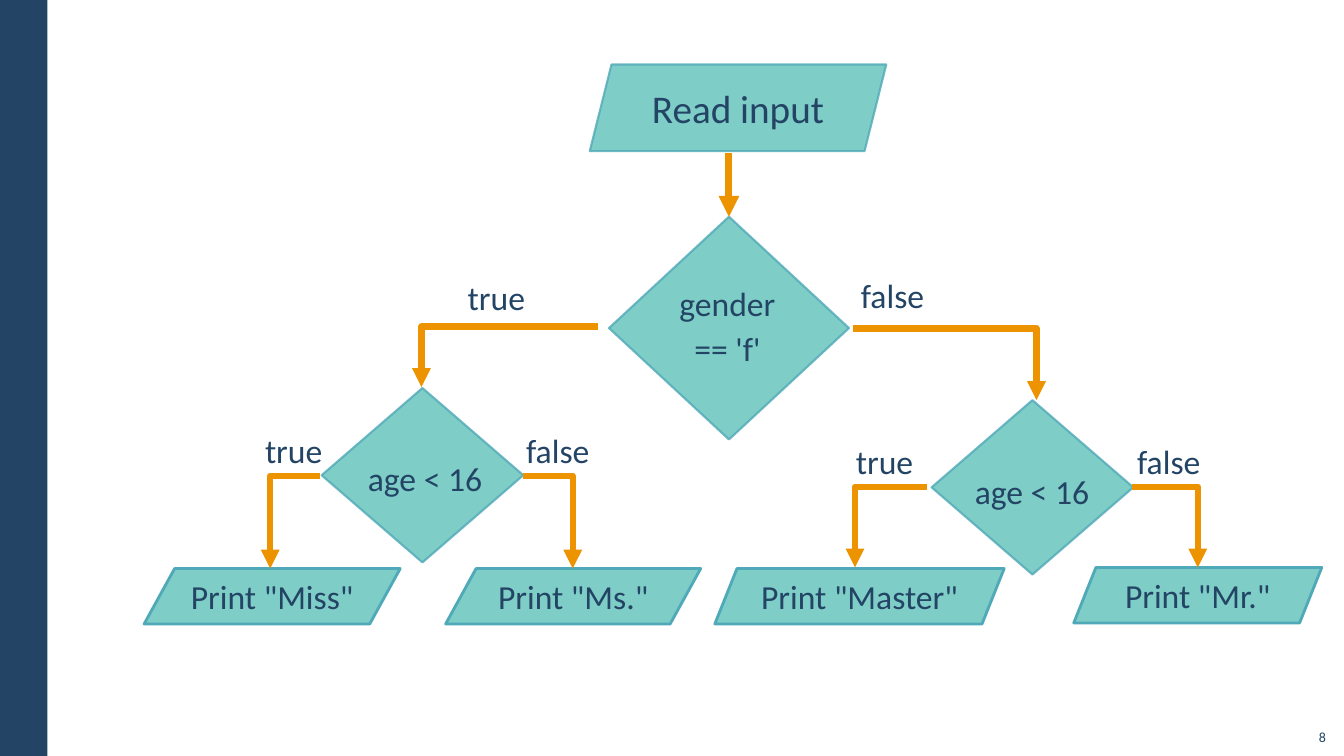
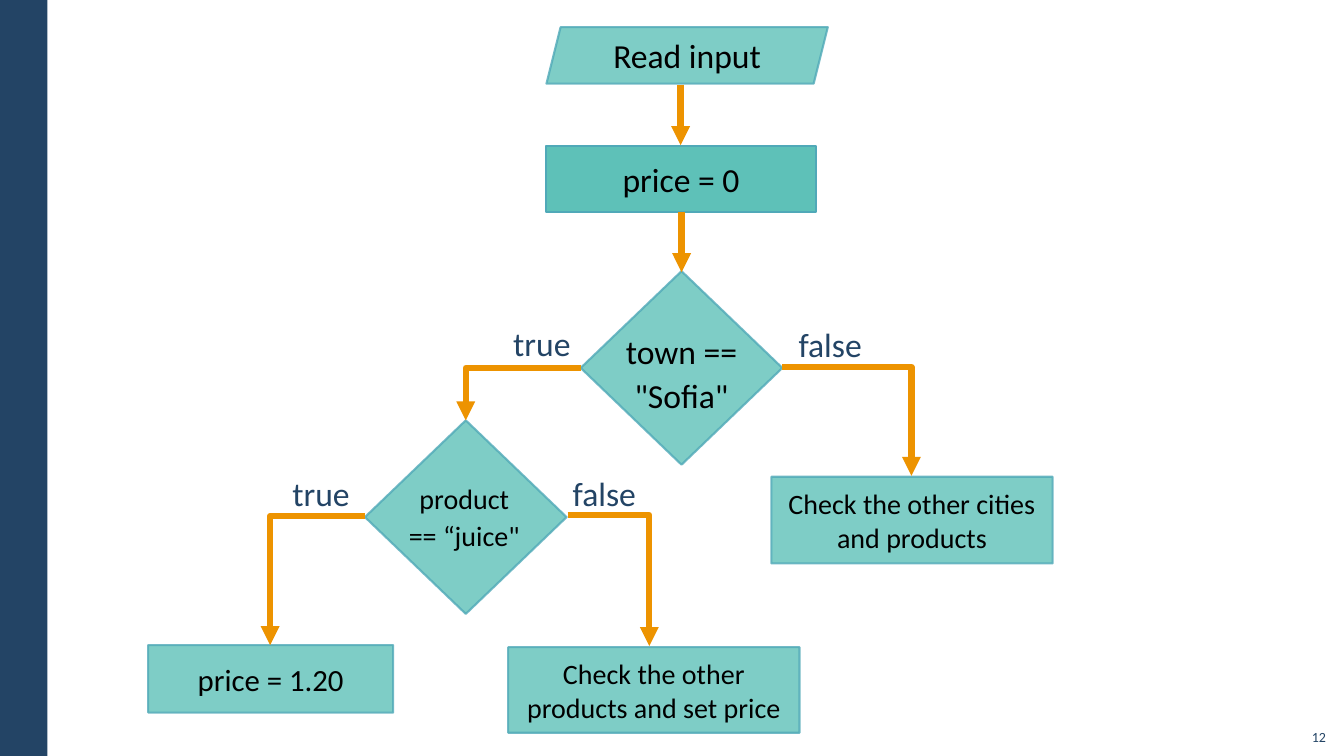
import pptx
from pptx.dml.color import RGBColor
from pptx.enum.shapes import MSO_CONNECTOR, MSO_SHAPE
from pptx.enum.text import MSO_ANCHOR, PP_ALIGN
from pptx.oxml.ns import qn
from pptx.util import Inches, Pt
from lxml import etree


class Theme:
    navy, black, teal, edge, gold = "234465", "000000", "5EC1B8", "50A9B8", "ED9300"
    font = "Calibri"
    big, body, mid, small, tiny = 28, 24, 22, 20, 10
    arrow, thick = 4.5, 5
    # fill opacity, line opacity, line width
    soft, firm, solid = (80, 80, 1.5), (80, 100, 2), (100, 100, 1.5)
    slim, roomy = (0.1, 0.05, 1), (0.16, 0.12, 1.1)  # side inset, top inset, spacing


T = Theme
KINDS = {
    "io": MSO_SHAPE.PARALLELOGRAM,
    "if": MSO_SHAPE.DIAMOND,
    "do": MSO_SHAPE.RECTANGLE,
}

# nodes: kind, text, size, box, look, slant
# tests: text, size, box (words inside the diamonds)
# marks: word, left, top (words beside the branches)
# arrows: start, end, width
FLOWS = [
    dict(
        page="8", ink=T.navy, pad=T.slim,
        nodes=[
            ("io", "Read input", T.big, (5.85, 0.64, 2.94, 0.86), T.soft, 0.25),
            ("if", "", T.body, (6.04, 2.15, 2.38, 2.21), T.soft, None),
            ("if", "", T.body, (3.19, 3.85, 2, 1.73), T.soft, None),
            ("if", "", T.body, (9.24, 3.97, 2, 1.73), T.soft, None),
            ("io", 'Print "Miss"', T.body, (1.43, 5.64, 2.54, 0.55), T.firm, 0.55),
            ("io", 'Print "Ms."', T.body, (4.42, 5.64, 2.53, 0.55), T.firm, 0.55),
            ("io", 'Print "Master"', T.body, (7.09, 5.64, 2.87, 0.55), T.firm, 0.4),
            ("io", 'Print "Mr."', T.body, (10.65, 5.63, 2.46, 0.55), T.firm, 0.4),
        ],
        tests=[
            ("gender\n== 'f'", T.body, (6.18, 2.65, 2.07, 1.1)),
            ("age < 16", T.body, (3.44, 4.38, 1.55, 0.66)),
            ("age < 16", T.body, (9.46, 4.51, 1.55, 0.66)),
        ],
        marks=[
            ("true", 4.54, 2.7), ("false", 8.44, 2.68),
            ("true", 2.53, 4.22), ("false", 5.12, 4.22),
            ("true", 8.39, 4.33), ("false", 11.18, 4.33),
        ],
        arrows=[
            ((7.23, 1.52), (7.23, 2.15), T.thick),
            ((5.93, 3.24), (4.18, 3.84), T.arrow),
            ((8.46, 3.26), (10.28, 3.97), T.arrow),
            ((3.17, 4.72), (2.68, 5.64), T.arrow),
            ((5.19, 4.72), (5.68, 5.64), T.arrow),
            ((9.19, 4.83), (8.48, 5.63), T.arrow),
            ((11.23, 4.83), (11.88, 5.63), T.arrow),
        ],
    ),
    dict(
        page="12", ink=T.black, pad=T.roomy,
        nodes=[
            ("io", "Read input", T.body, (5.42, 0.27, 2.79, 0.56), T.soft, 0.25),
            ("do", "price = 0", T.body, (5.42, 1.45, 2.67, 0.65), T.solid, None),
            ("if", "", T.body, (5.76, 2.69, 2, 1.92), T.soft, None),
            ("if", "", T.body, (3.62, 4.17, 2, 1.92), T.soft, None),
            ("do", "Check the other cities\nand products", T.small,
             (7.65, 4.73, 2.79, 0.86), T.soft, None),
            ("do", "price = 1.20", T.mid, (1.47, 6.4, 2.43, 0.67), T.soft, None),
            ("do", "Check the other products and set price", T.small,
             (5.04, 6.42, 2.89, 0.85), T.soft, None),
        ],
        tests=[
            ('town ==\n"Sofia"', T.body, (5.96, 3.12, 1.6, 1.1)),
            ('product\n== “juice"', T.small, (3.79, 4.62, 1.63, 0.96)),
        ],
        marks=[
            ("true", 4.93, 3.04), ("false", 7.76, 3.05),
            ("true", 2.74, 4.53), ("false", 5.52, 4.53),
        ],
        arrows=[
            ((6.75, 0.84), (6.75, 1.44), T.arrow),
            ((6.76, 2.1), (6.76, 2.7), T.arrow),
            ((5.76, 3.65), (4.62, 4.17), T.arrow),
            ((7.76, 3.64), (9.04, 4.72), T.arrow),
            ((3.62, 5.12), (2.68, 6.4), T.arrow),
            ((5.63, 5.11), (6.44, 6.41), T.arrow),
        ],
    ),
]


def rgb(code):
    return RGBColor.from_string(code)


def inch(box):
    return [Inches(n) for n in box]


def fade(node, pct):
    """Set the opacity of the solid fill directly under node."""
    if pct < 100:
        hue = node.find(qn("a:solidFill"))[0]
        etree.SubElement(hue, qn("a:alpha"), val=str(pct * 1000))


def write(frame, text, size, ink, pad=T.slim, align=PP_ALIGN.CENTER,
          anchor=MSO_ANCHOR.MIDDLE):
    side, top, gap = pad
    frame.word_wrap = True
    frame.vertical_anchor = anchor
    frame.margin_left = frame.margin_right = Inches(side)
    frame.margin_top = frame.margin_bottom = Inches(top)
    para = frame.paragraphs[0]
    para.alignment = align
    para.line_spacing = gap
    for i, line in enumerate(text.split("\n")):
        if i:
            para.add_line_break()
        run = para.add_run()
        run.text = line
        run.font.name, run.font.size = T.font, Pt(size)
        run.font.color.rgb = rgb(ink)


def block(slide, kind, box, color):
    shape = slide.shapes.add_shape(KINDS[kind], *inch(box))
    shape.shadow.inherit = False
    shape.fill.solid()
    shape.fill.fore_color.rgb = rgb(color)
    shape.line.fill.background()
    return shape


def node(slide, ink, kind, text, size, box, look, slant):
    shape = block(slide, kind, box, T.teal)
    body, rim, width = look
    shape.line.color.rgb = rgb(T.edge)
    shape.line.width = Pt(width)
    props = shape._element.spPr
    fade(props, body)
    fade(props.find(qn("a:ln")), rim)
    if slant:
        shape.adjustments[0] = slant
    if text:
        write(shape.text_frame, text, size, ink)


def label(slide, box, *args, **opts):
    write(slide.shapes.add_textbox(*inch(box)).text_frame, *args, **opts)


def arrow(slide, start, end, width):
    """Draw straight down, or across and then down."""
    bent = start[0] != end[0]
    kind = MSO_CONNECTOR.ELBOW if bent else MSO_CONNECTOR.STRAIGHT
    line = slide.shapes.add_connector(kind, *inch(start + end))
    line.line.color.rgb = rgb(T.gold)
    line.line.width = Pt(width)
    props = line._element.spPr
    if bent:
        props.find(qn("a:prstGeom")).set("prst", "bentConnector2")
    etree.SubElement(props.find(qn("a:ln")), qn("a:tailEnd"), type="triangle")
    etree.SubElement(props, qn("a:effectLst"))


def frame(deck, page):
    """Add a slide with the side band and the page number."""
    slide = deck.slides.add_slide(deck.slide_layouts[6])
    block(slide, "do", (0, 0, 0.47, 7.5), T.navy)
    label(slide, (12.85, 7.12, 0.4, 0.32), page, T.tiny, T.navy,
          align=PP_ALIGN.RIGHT, anchor=MSO_ANCHOR.BOTTOM)
    return slide


def main():
    deck = pptx.Presentation()
    deck.slide_width, deck.slide_height = inch((13.33, 7.5))
    for flow in FLOWS:
        slide = frame(deck, flow["page"])
        for item in flow["nodes"]:
            node(slide, flow["ink"], *item)
        for text, size, box in flow["tests"]:
            label(slide, box, text, size, flow["ink"], T.roomy,
                  anchor=MSO_ANCHOR.TOP)
        for item in flow["arrows"]:
            arrow(slide, *item)
        for word, left, top in flow["marks"]:
            label(slide, (left, top, 1.05, 0.6), word, T.body, T.navy, flow["pad"],
                  PP_ALIGN.LEFT, MSO_ANCHOR.TOP)
    deck.save("out.pptx")


if __name__ == "__main__":
    main()
